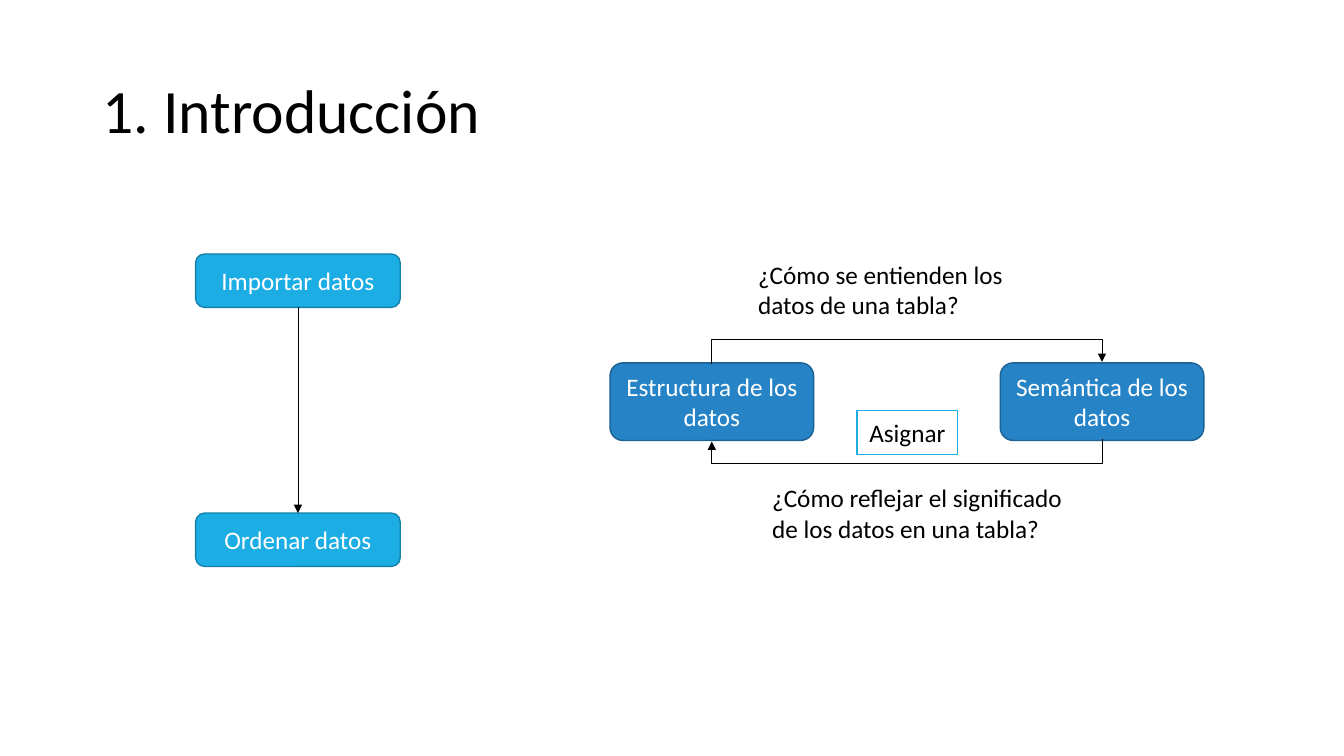
from lxml.etree import SubElement
from pptx import Presentation
from pptx.dml.color import RGBColor
from pptx.enum.shapes import MSO_CONNECTOR, MSO_SHAPE
from pptx.enum.text import MSO_ANCHOR, PP_ALIGN
from pptx.oxml.ns import qn
from pptx.util import Inches, Pt

COLORS = {"black": "000000", "white": "FFFFFF", "cyan": "1CADE4",
          "cyan_edge": "1580A9", "blue": "2683C6", "blue_edge": "1C6192"}
FONT = "Calibri"

TITLE = "1. Introducción"
STEPS = ["Importar datos", "Ordenar datos"]
CONCEPTS = ["Estructura de los datos", "Semántica de los datos"]
QUESTIONS = [("¿Cómo se entienden los datos de una tabla?", 7.42, 2.52),
             ("¿Cómo reflejar el significado de los datos en una tabla?", 7.56, 4.74)]
ACTION = "Asignar"

STEP_X, STEP_Y, STEP_W, STEP_H, STEP_PITCH = 1.94, 2.52, 2.03, 0.53, 2.57
CONCEPT_X, CONCEPT_Y, CONCEPT_W, CONCEPT_H, CONCEPT_PITCH = 6.05, 3.6, 2.02, 0.77, 3.87
ELBOW_DEPTH, ELBOW_THICK = 0.24, 0.02


def rgb(name):
    return RGBColor.from_string(COLORS[name])


def write(sp, text, color, size=18, align=PP_ALIGN.LEFT, anchor=MSO_ANCHOR.TOP):
    tf = sp.text_frame
    tf.word_wrap = True
    tf.vertical_anchor = anchor
    tf.text = text
    p = tf.paragraphs[0]
    p.alignment = align
    font = p.runs[0].font
    font.name, font.size = FONT, Pt(size)
    font.color.rgb = rgb(color)
    return p


def add_label(slide, text, x, y, w, h, **style):
    box = slide.shapes.add_textbox(Inches(x), Inches(y), Inches(w), Inches(h))
    return write(box, text, "black", **style)


def add_box(slide, text, x, y, w, h, fill, edge, color="white",
            kind=MSO_SHAPE.ROUNDED_RECTANGLE):
    sp = slide.shapes.add_shape(kind, Inches(x), Inches(y), Inches(w), Inches(h))
    sp.shadow.inherit = False
    sp.fill.solid()
    sp.fill.fore_color.rgb = rgb(fill)
    sp.line.color.rgb = rgb(edge)
    sp.line.width = Pt(1)
    write(sp, text, color, align=PP_ALIGN.CENTER, anchor=MSO_ANCHOR.MIDDLE)
    return sp


def add_arrow(slide, kind, x1, y1, x2, y2):
    arrow = slide.shapes.add_connector(kind, Inches(x1), Inches(y1), Inches(x2), Inches(y2))
    arrow.line.color.rgb = rgb("black")
    arrow.line.width = Pt(0.5)
    SubElement(arrow.line._get_or_add_ln(), qn("a:tailEnd"), type="triangle")
    SubElement(arrow._element.spPr, qn("a:effectLst"))
    return arrow


def add_loop(slide, cx, cy, direction):
    """Elbow turned 90 degrees: direction 1 runs leftwards below, -1 rightwards above."""
    dx, dy = direction * ELBOW_THICK / 2, direction * CONCEPT_PITCH / 2
    loop = add_arrow(slide, MSO_CONNECTOR.ELBOW, cx - dx, cy - dy, cx + dx, cy + dy)
    sp_pr = loop._element.spPr
    sp_pr.find(qn("a:xfrm")).set("rot", "5400000")
    guides = sp_pr.find(qn("a:prstGeom")).get_or_add_avLst()
    SubElement(guides, qn("a:gd"), name="adj1",
               fmla=f"val {round(ELBOW_DEPTH / ELBOW_THICK * 100000)}")


def main():
    prs = Presentation()
    prs.slide_width, prs.slide_height = Inches(13.33), Inches(7.5)
    slide = prs.slides.add_slide(prs.slide_layouts[6])

    title = add_label(slide, TITLE, 0.92, 0.4, 11.5, 1.45, size=44, anchor=MSO_ANCHOR.MIDDLE)
    title.line_spacing = 0.9

    steps = [add_box(slide, text, STEP_X, STEP_Y + i * STEP_PITCH, STEP_W, STEP_H,
                     "cyan", "cyan_edge") for i, text in enumerate(STEPS)]
    mid_x = STEP_X + STEP_W / 2
    arrow = add_arrow(slide, MSO_CONNECTOR.STRAIGHT, mid_x, STEP_Y + STEP_H,
                      mid_x, STEP_Y + STEP_PITCH)
    arrow.begin_connect(steps[0], 2)
    arrow.end_connect(steps[1], 0)

    for i, text in enumerate(CONCEPTS):
        add_box(slide, text, CONCEPT_X + i * CONCEPT_PITCH, CONCEPT_Y, CONCEPT_W, CONCEPT_H,
                "blue", "blue_edge")
    loop_x = CONCEPT_X + (CONCEPT_W + CONCEPT_PITCH) / 2
    add_loop(slide, loop_x, CONCEPT_Y + CONCEPT_H, 1)
    add_loop(slide, loop_x, CONCEPT_Y, -1)

    for text, x, y in QUESTIONS:
        add_label(slide, text, x, y, 3.18, 0.71)
    add_box(slide, ACTION, 8.5, 4.07, 1, 0.44, "white", "cyan", "black", MSO_SHAPE.RECTANGLE)

    prs.save("out.pptx")


if __name__ == "__main__":
    main()
